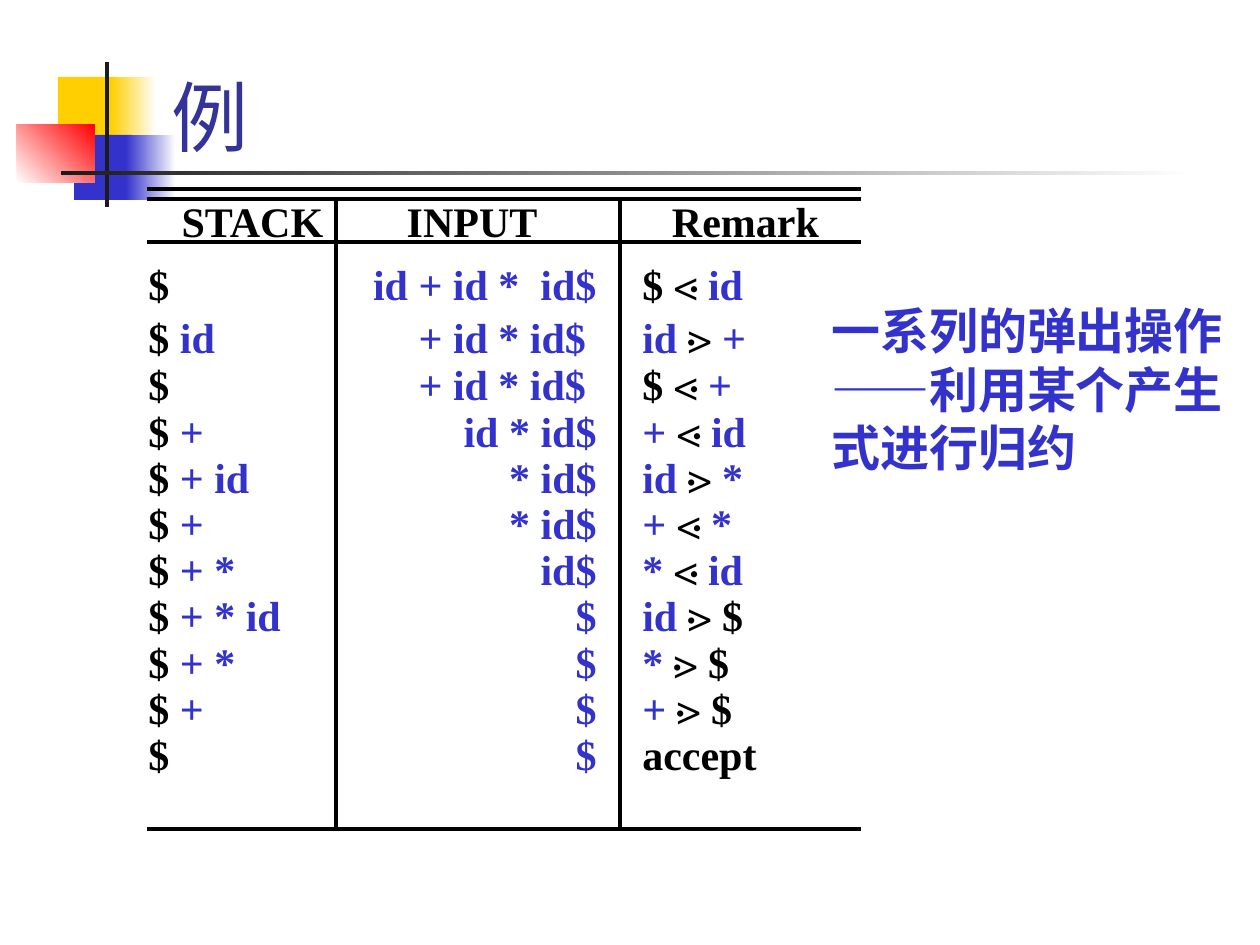
from lxml import etree
from pptx import Presentation
from pptx.dml.color import RGBColor
from pptx.enum.shapes import MSO_CONNECTOR, MSO_SHAPE
from pptx.enum.text import MSO_ANCHOR, MSO_AUTO_SIZE, PP_ALIGN
from pptx.oxml.ns import qn
from pptx.util import Pt

LINE = MSO_CONNECTOR.STRAIGHT
RECT = MSO_SHAPE.RECTANGLE
LEFT, MID, RIGHT = PP_ALIGN.LEFT, PP_ALIGN.CENTER, PP_ALIGN.RIGHT
BOTTOM = MSO_ANCHOR.BOTTOM
GROW = MSO_AUTO_SIZE.SHAPE_TO_FIT_TEXT
SCALE = 914400 / 126

HEX = {"black": "000000", "blue": "3333CC", "navy": "333399", "gold": "FFCF01",
       "red": "FF0000", "dark": "1C1C1C", "white": "FFFFFF"}
SERIF, MONO = "Times New Roman", "Courier New"

TITLE = "例"
HEADS = [("STACK", 158, 189), ("INPUT", 388, 168), ("Remark", 651, 189)]
STEPS = [
    ("", "id + id *  id$", ("$", "⋖", "id")),
    ("id", "+ id * id$ ", ("id", "⋗", "+")),
    ("", "+ id * id$ ", ("$", "⋖", "+")),
    ("+", "id * id$", ("+", "⋖", "id")),
    ("+ id", "* id$", ("id", "⋗", "*")),
    ("+", "* id$", ("+", "⋖", "*")),
    ("+ *", "id$", ("*", "⋖", "id")),
    ("+ * id", "$", ("id", "⋗", "$")),
    ("+ *", "$", ("*", "⋗", "$")),
    ("+", "$", ("+", "⋗", "$")),
    ("", "$", ("accept",)),
]
NOTE = ["一系列的弹出操作", "——利用某个产生式进行归约"]

DECOR = [
    ((58, 77, 60, 66), ["gold"], 0),
    ((111, 77, 45, 66), ["gold", "white"], 0),
    ((74, 135, 58, 65), ["blue"], 0),
    ((126, 135, 50, 65), ["blue", "white"], 0),
    ((17, 124, 78, 59), ["white", "red"], 45),
    ((105, 62, 4, 145), ["dark"], 0),
    ((61, 171, 1134, 4), ["dark", "white"], 0),
]
RULES_X, RULES_Y = (147, 861), (189, 199, 242, 829)
BARS_X, BARS_Y = (336, 620), (199, 829)


def emu(*nums):
    return [round(n * SCALE) for n in nums]


def rgb(name):
    return RGBColor.from_string(HEX[name])


def add_run(para, text, ink, size=24, bold=True, face=SERIF):
    run = para.add_run()
    run.text = text
    font = run.font
    font.name, font.size, font.bold = face, Pt(size), bold
    font.color.rgb = rgb(ink)


def add_box(slide, *place):
    frame = slide.shapes.add_textbox(*emu(*place)).text_frame
    frame.word_wrap = True
    frame.auto_size = GROW
    return frame


def add_line(slide, *ends):
    line = slide.shapes.add_connector(LINE, *emu(*ends))
    line.line.color.rgb = rgb("black")
    line.line.width = Pt(2)
    etree.SubElement(line._element.spPr, qn("a:effectLst"))


def add_block(slide, place, inks, angle):
    shape = slide.shapes.add_shape(RECT, *emu(*place))
    shape.shadow.inherit = False
    shape.line.fill.background()
    if len(inks) == 1:
        shape.fill.solid()
        shape.fill.fore_color.rgb = rgb(inks[0])
        return
    shape.fill.gradient()
    shape.fill.gradient_angle = angle
    for stop, ink in zip(shape.fill.gradient_stops, inks):
        stop.color.rgb = rgb(ink)


def add_column(slide, place, rows, align):
    frame = add_box(slide, *place)
    for i, runs in enumerate(rows):
        para = frame.add_paragraph() if i else frame.paragraphs[0]
        para.alignment = align
        if i:
            para.space_before = Pt(12)
            para.line_spacing = 0.6 if i == 1 else 0.5
        for run in runs:
            add_run(para, *run)


def stack_runs(rest):
    return [("$ ", "black"), (rest, "blue")] if rest else [("$", "black")]


def remark_runs(parts):
    runs = []
    for i, part in enumerate(parts):
        sign = part in "⋖⋗"
        ink = "black" if sign or part in ("$", "accept") else "blue"
        gap = " " if i < len(parts) - 1 else ""
        runs.append((part + gap, ink, 24, not sign))
    return runs


def main():
    deck = Presentation()
    deck.slide_width, deck.slide_height = emu(1260, 945)
    slide = deck.slides.add_slide(deck.slide_layouts[5])

    for place, inks, angle in DECOR:
        add_block(slide, place, inks, angle)

    title = slide.shapes.title
    title.left, title.top, title.width, title.height = emu(159, 10, 1074, 158)
    title.text_frame.vertical_anchor = BOTTOM
    para = title.text_frame.paragraphs[0]
    para.alignment = LEFT
    add_run(para, TITLE, "navy", 44, False)

    for y in RULES_Y:
        add_line(slide, RULES_X[0], y, RULES_X[1], y)
    for x in BARS_X:
        add_line(slide, x, BARS_Y[0], x, BARS_Y[1])

    for text, x, wide in HEADS:
        para = add_box(slide, x, 189, wide, 63).paragraphs[0]
        para.alignment = MID
        add_run(para, text, "black")

    stack, rest, remark = zip(*STEPS)
    columns = [
        (136, 189, map(stack_runs, stack), LEFT),
        (357, 252, [[(text, "blue")] for text in rest], RIGHT),
        (630, 252, map(remark_runs, remark), LEFT),
    ]
    for x, wide, rows, align in columns:
        add_column(slide, (x, 252, wide, 571), rows, align)

    para = add_box(slide, 819, 294, 441, 189).paragraphs[0]
    for i, text in enumerate(NOTE):
        if i:
            para.add_line_break()
        add_run(para, text, "blue", 28, True, MONO)

    deck.save("out.pptx")


if __name__ == "__main__":
    main()
